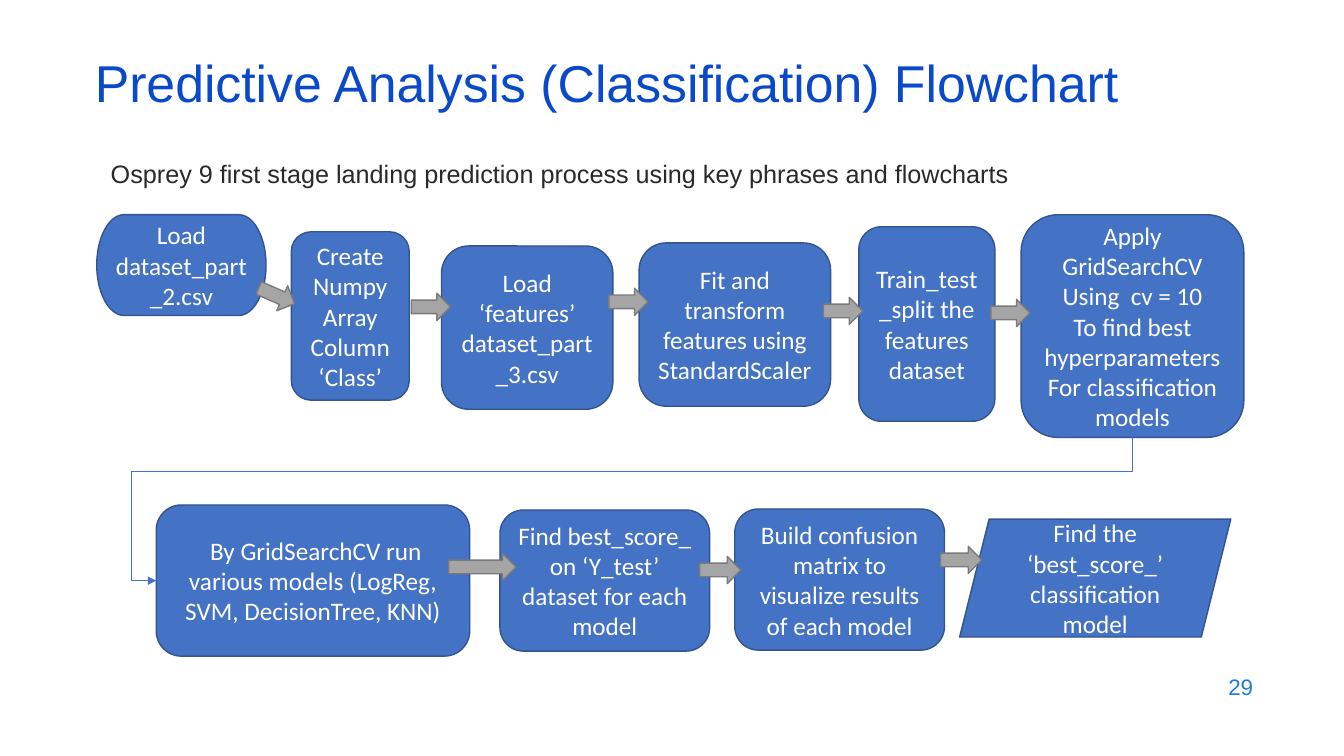
from lxml import etree
from pptx import Presentation
from pptx import util as u
from pptx.dml.color import RGBColor
from pptx.enum import shapes, text
from pptx.oxml import ns

COLUMNS, ROWS = 133.33, 75
WIDTH, HEIGHT = u.Inches(13.33), u.Inches(7.5)
TITLE_BLUE = RGBColor(0x0B, 0x49, 0xCB)
NUMBER_BLUE = RGBColor(0x1C, 0x7D, 0xDB)
INK = RGBColor(0x29, 0x29, 0x29)
WHITE = RGBColor(0xFF, 0xFF, 0xFF)
STEP_FILL = RGBColor(0x44, 0x72, 0xC4)
STEP_EDGE = RGBColor(0x32, 0x54, 0x91)
ARROW_FILL = RGBColor(0xA5, 0xA5, 0xA5)
ARROW_EDGE = RGBColor(0x7A, 0x7A, 0x7A)

ROUNDED = shapes.MSO_SHAPE.ROUNDED_RECTANGLE
STEPS = {
    "load": (shapes.MSO_SHAPE.FLOWCHART_TERMINATOR, (9.6, 21.3, 16.8, 10),
             "Load dataset_part_2.csv"),
    "label": (ROUNDED, (28.9, 23, 11.7, 16.7),
              "Create Numpy Array Column ‘Class’"),
    "features": (ROUNDED, (43.8, 24.4, 17, 16.2),
                 "Load ‘features’\ndataset_part_3.csv"),
    "scale": (ROUNDED, (63.4, 24.1, 19, 16.2),
              "Fit and transform features using StandardScaler"),
    "split": (ROUNDED, (85.2, 22.5, 13.5, 19.3),
              "Train_test_split the features dataset"),
    "search": (ROUNDED, (101.3, 21.3, 22.1, 22.1),
               "Apply GridSearchCV\nUsing  cv = 10\n"
               "To find best hyperparameters\nFor classification models"),
    "models": (ROUNDED, (15.5, 50.1, 31.1, 15),
               " By GridSearchCV run various models (LogReg, SVM, DecisionTree, KNN)"),
    "score": (ROUNDED, (49.6, 50.6, 20.8, 14),
              "Find best_score_ on ‘Y_test’ dataset for each model"),
    "confusion": (ROUNDED, (72.9, 50.5, 20.8, 14),
                  "Build confusion matrix to visualize results of each model"),
    "best": (shapes.MSO_SHAPE.PARALLELOGRAM, (95.2, 51.5, 26.9, 11.7),
             "Find the ‘best_score_’ classification model"),
}
ARROWS = [
    (25.5, 28, 3.9, 23.7), (40.8, 29.1, 3.9, 0), (60.4, 28.6, 3.9, 0),
    (81.7, 29.5, 3.9, 0), (98.3, 29.7, 3.9, 0),
    (44.5, 54.9, 6.7, 0), (69.4, 55.2, 4.1, 0), (93.3, 54.2, 4.1, 0),
]
ARROW_ROWS = 2.7


def grid(column, row, columns, rows):
    return (round(WIDTH * column / COLUMNS), round(HEIGHT * row / ROWS),
            round(WIDTH * columns / COLUMNS), round(HEIGHT * rows / ROWS))


def place(shape, cells):
    shape.left, shape.top, shape.width, shape.height = grid(*cells)


def write(shape, content, size, color, font="Arial",
          align=text.PP_ALIGN.LEFT, anchor=text.MSO_ANCHOR.MIDDLE):
    frame = shape.text_frame
    frame.text = content
    frame.word_wrap = True
    frame.vertical_anchor = anchor
    for paragraph in frame.paragraphs:
        paragraph.alignment = align
        for run in paragraph.runs:
            run.font.name = font
            run.font.size = u.Pt(size)
            run.font.color.rgb = color


def add_filled(slide, kind, cells, fill, edge):
    shape = slide.shapes.add_shape(kind, *grid(*cells))
    shape.shadow.inherit = False
    shape.fill.solid()
    shape.fill.fore_color.rgb = fill
    shape.line.color.rgb = edge
    shape.line.width = u.Pt(1)
    return shape


def add_step(slide, kind, cells, content):
    shape = add_filled(slide, kind, cells, STEP_FILL, STEP_EDGE)
    write(shape, content, 18, WHITE, "Calibri", text.PP_ALIGN.CENTER)
    return shape


def add_arrow(slide, column, row, columns, angle):
    arrow = add_filled(slide, shapes.MSO_SHAPE.RIGHT_ARROW,
                       (column, row, columns, ARROW_ROWS), ARROW_FILL, ARROW_EDGE)
    arrow.rotation = angle


def add_return_line(slide, start, end):
    line = slide.shapes.add_connector(shapes.MSO_CONNECTOR.ELBOW, 0, 0, 0, 0)
    line.begin_connect(start, 2)
    line.end_connect(end, 1)
    across, down = line.width, line.height
    middle_x, middle_y = line.left + across // 2, line.top + down // 2
    line.left, line.top = middle_x - down // 2, middle_y - across // 2
    line.width, line.height = down, across
    properties = line._element.spPr
    transform = properties.find(ns.qn("a:xfrm"))
    transform.attrib.pop("flipH", None)
    transform.set("rot", "5400000")
    geometry = properties.find(ns.qn("a:prstGeom"))
    geometry.set("prst", "bentConnector4")
    adjustments = geometry.find(ns.qn("a:avLst"))
    for name, share in (("adj1", 23500), ("adj2", 102600)):
        etree.SubElement(adjustments, ns.qn("a:gd"), name=name, fmla=f"val {share}")
    line.line.color.rgb = STEP_FILL
    line.line.width = u.Pt(0.5)
    etree.SubElement(properties.find(ns.qn("a:ln")), ns.qn("a:tailEnd"), type="triangle")
    etree.SubElement(properties, ns.qn("a:effectLst"))


def add_label(slide, cells, content, size, color, **style):
    write(slide.shapes.add_textbox(*grid(*cells)), content, size, color, **style)


def main():
    presentation = Presentation()
    presentation.slide_width, presentation.slide_height = WIDTH, HEIGHT
    slide = presentation.slides.add_slide(presentation.slide_layouts[5])
    title = slide.shapes.title
    place(title, (8.4, 5.9, 115, 6))
    write(title, "Predictive Analysis (Classification) Flowchart", 37, TITLE_BLUE)
    title.text_frame.paragraphs[0].line_spacing = 0.7
    add_label(slide, (10, 15.2, 117.7, 4),
              "Osprey 9 first stage landing prediction process using key phrases and flowcharts",
              18, INK, anchor=text.MSO_ANCHOR.TOP)
    steps = {name: add_step(slide, *step) for name, step in STEPS.items()}
    add_return_line(slide, steps["search"], steps["models"])
    for arrow in ARROWS:
        add_arrow(slide, *arrow)
    add_label(slide, (95.3, 65.9, 30, 4.4), "29", 16, NUMBER_BLUE,
              align=text.PP_ALIGN.RIGHT)
    presentation.save("out.pptx")


if __name__ == "__main__":
    main()
